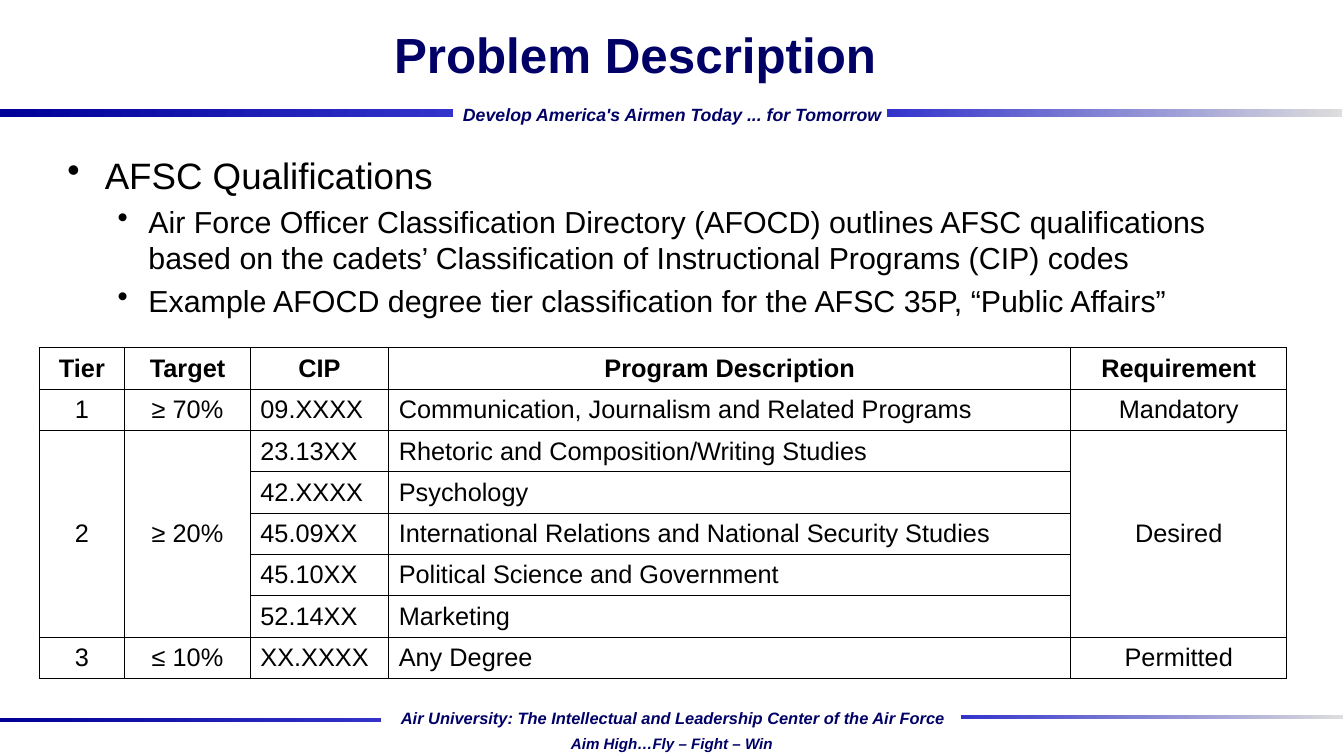
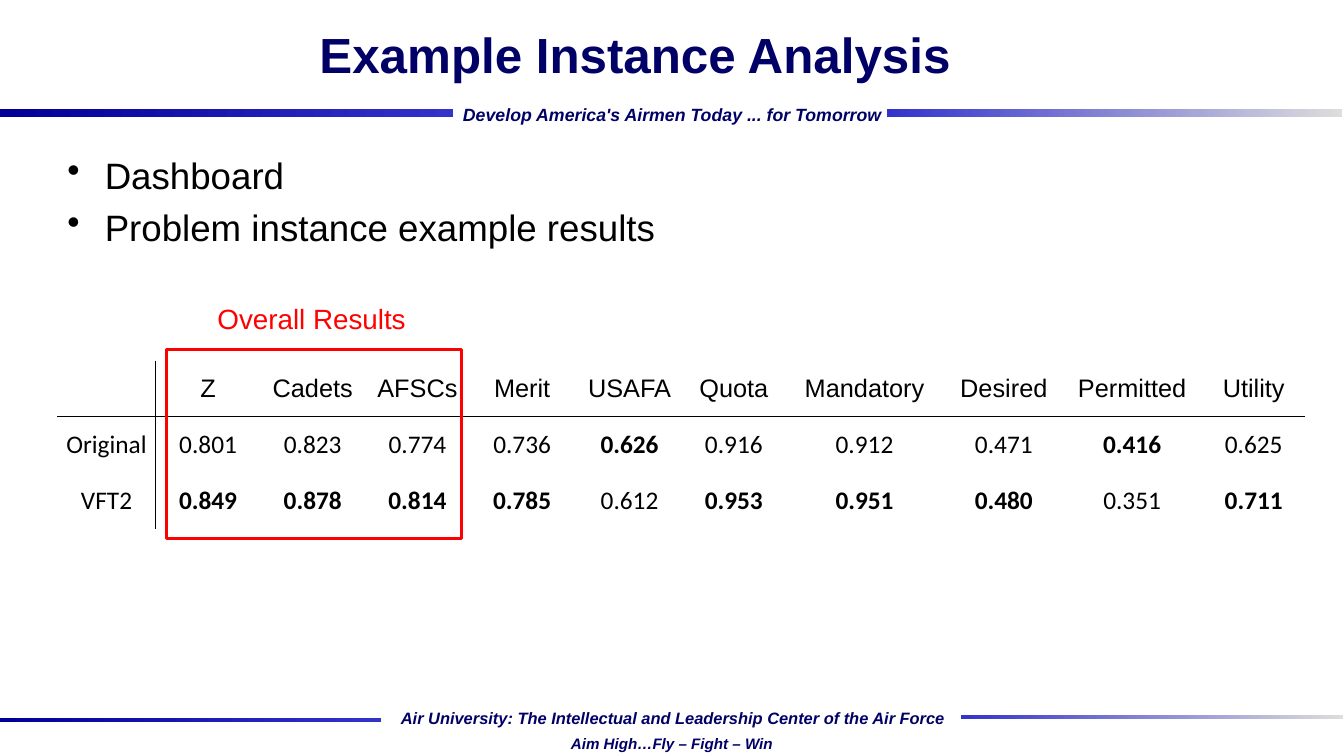
import pptx
import pptx.dml.color
import pptx.enum.shapes
import pptx.enum.text
import pptx.oxml.ns
import pptx.util
from lxml import etree

NAVY, BLACK, WHITE, RED = "000066", "000000", "FFFFFF", "FF0000"
DARK, BLUE, GREY = "000099", "3333CC", "DDDDDD"
CENTER = pptx.enum.text.PP_ALIGN.CENTER
LEFT = pptx.enum.text.PP_ALIGN.LEFT
MIDDLE = pptx.enum.text.MSO_ANCHOR.MIDDLE
RECT = pptx.enum.shapes.MSO_SHAPE.RECTANGLE
SIDES = "LRTB"


def color(code):
    return pptx.dml.color.RGBColor.from_string(code)


def node(parent, tag, **attrs):
    return etree.SubElement(parent, pptx.oxml.ns.qn(tag), attrs)


def style(para, size, code=BLACK, bold=False, slant=False, face="Arial"):
    for run in para.runs:
        font = run.font
        font.name, font.size = face, pptx.util.Pt(size)
        font.bold, font.italic = bold, slant
        font.color.rgb = color(code)


class Deck:
    """Holds the style and the current slide; lengths are percent of its size."""

    # Per level: left margin, hanging indent, text size
    LEVELS = ((2.78, 2.78, 29), (6.03, 2.3, 24))

    def __init__(self):
        self.show = pptx.Presentation()
        self.show.slide_width = pptx.util.Inches(14.76)
        self.show.slide_height = pptx.util.Inches(8.3)

    def across(self, share):
        return round(self.show.slide_width * share / 100)

    def down(self, share):
        return round(self.show.slide_height * share / 100)

    def box(self, left, top, width, height):
        return (self.across(left), self.down(top),
                self.across(width), self.down(height))

    def start(self, title):
        """Add a slide with its title, bands and mottos."""
        self.slide = self.show.slides.add_slide(self.show.slide_layouts[5])
        self.shapes = self.slide.shapes
        self.band(66, 14.46, 33.88, 1.08, BLUE, GREY)
        self.band(0, 14.46, 33.74, 1.08, DARK, BLUE)
        self.band(0, 94.94, 28.32, 0.6, DARK, BLUE)
        self.band(71.48, 94.58, 28.46, 0.6, BLUE, GREY)
        self.motto("Develop America's Airmen Today ... for Tomorrow",
                   14, 33.67, 13.13, 32.72, 4.1)
        self.motto("Air University: The Intellectual and Leadership Center "
                   "of the Air Force", 13, 28.86, 93.01, 42.34, 3.73)
        self.motto("Aim High…Fly – Fight – Win", 12, 41.6, 96.51, 16.8, 3.49)
        self.head(title)

    def head(self, title):
        shape = self.shapes.title
        shape.left, shape.top, shape.width, shape.height = self.box(
            8.54, 0, 77.44, 14.1)
        frame = shape.text_frame
        frame.text = title
        frame.vertical_anchor = MIDDLE
        frame.paragraphs[0].alignment = CENTER
        style(frame.paragraphs[0], 39, NAVY, bold=True)

    def band(self, left, top, width, height, first, last):
        shape = self.shapes.add_shape(RECT, *self.box(left, top, width, height))
        shape.shadow.inherit = False
        shape.line.fill.background()
        shape.fill.gradient()
        shape.fill.gradient_angle = 0
        for stop, code, place in zip(shape.fill.gradient_stops,
                                     (first, last), (0, 1)):
            stop.color.rgb = color(code)
            stop.position = place

    def label(self, text, *place, wrap=True):
        frame = self.shapes.add_textbox(*self.box(*place)).text_frame
        frame.word_wrap = wrap
        frame.text = text
        return frame

    def motto(self, text, size, *place):
        para = self.label(text, *place, wrap=False).paragraphs[0]
        para.alignment = CENTER
        style(para, size, NAVY, bold=True, slant=True)

    def list(self, items):
        """Write the bulleted body from pairs of level and text."""
        frame = self.label("\n".join(text for _, text in items),
                           4.27, 19.64, 92.48, 72.5)
        frame.margin_left = frame.margin_right = pptx.util.Inches(0.11)
        for index, (para, (level, _)) in enumerate(zip(frame.paragraphs, items)):
            margin, hang, size = self.LEVELS[level]
            para.level = level
            props = para._p.get_or_add_pPr()
            props.set("marL", str(self.across(margin)))
            props.set("indent", str(-self.across(hang)))
            node(props, "a:buChar", char="•")
            if index:
                para.space_before = pptx.util.Pt(0.2 * size)
            style(para, size)

    def table(self, left, top, widths, height, rows):
        frame = self.shapes.add_table(
            len(rows), len(widths),
            *self.box(left, top, sum(widths), height * len(rows)))
        table = frame.table
        table.first_row = table.horz_banding = False
        for column, width in zip(table.columns, widths):
            column.width = self.across(width)
        for row in table.rows:
            row.height = self.down(height)
        return table

    def cell(self, cell, text, edges, pads, align=CENTER, **look):
        """Fill one cell; edges names the sides that carry a line."""
        props = cell._tc.get_or_add_tcPr()
        for side in SIDES:
            line = node(props, "a:ln" + side, w=str(pptx.util.Pt(1)))
            if side in edges:
                fill = node(line, "a:solidFill")
                node(fill, "a:srgbClr", val=BLACK)
            else:
                node(line, "a:noFill")
        cell.fill.solid()
        cell.fill.fore_color.rgb = color(WHITE)
        cell.vertical_anchor = MIDDLE
        wide, high = map(pptx.util.Inches, pads)
        cell.margin_left = cell.margin_right = wide
        cell.margin_top = cell.margin_bottom = high
        cell.text = text
        para = cell.text_frame.paragraphs[0]
        para.alignment = align
        style(para, 20, **look)

    def frame(self, code, *place):
        shape = self.shapes.add_shape(RECT, *self.box(*place))
        shape.shadow.inherit = False
        shape.fill.background()
        shape.line.color.rgb = color(code)
        shape.line.width = pptx.util.Pt(2.25)


def problem(deck):
    deck.start("Problem Description")
    deck.list((
        (0, "AFSC Qualifications"),
        (1, "Air Force Officer Classification Directory (AFOCD) outlines AFSC "
            "qualifications based on the cadets’ Classification of "
            "Instructional Programs (CIP) codes"),
        (1, "Example AFOCD degree tier classification for the AFSC 35P, "
            "“Public Affairs”"),
    ))
    rows = (
        ("Tier", "Target", "CIP", "Program Description", "Requirement"),
        ("1", "≥ 70%", "09.XXXX",
         "Communication, Journalism and Related Programs", "Mandatory"),
        ("2", "≥ 20%", "23.13XX",
         "Rhetoric and Composition/Writing Studies", "Desired"),
        ("", "", "42.XXXX", "Psychology", ""),
        ("", "", "45.09XX",
         "International Relations and National Security Studies", ""),
        ("", "", "45.10XX", "Political Science and Government", ""),
        ("", "", "52.14XX", "Marketing", ""),
        ("3", "≤ 10%", "XX.XXXX", "Any Degree", "Permitted"),
    )
    table = deck.table(2.91, 46.02, (6.37, 9.35, 10.3, 50.75, 16.06),
                       5.44, rows)
    for y, row in enumerate(rows):
        for x, text in enumerate(row):
            align = LEFT if y and x in (2, 3) else CENTER
            deck.cell(table.cell(y, x), text, SIDES, (0.11, 0.06), align,
                      bold=y == 0)
    for x in (0, 1, 4):
        table.cell(2, x).merge(table.cell(6, x))


def results(deck):
    deck.start("Example Instance Analysis")
    deck.list(((0, "Dashboard"), (0, "Problem instance example results")))
    rows = (
        ("", "Z", "Cadets", "AFSCs", "Merit", "USAFA", "Quota", "Mandatory",
         "Desired", "Permitted", "Utility"),
        ("Original", "0.801", "0.823", "0.774", "0.736", "0.626", "0.916",
         "0.912", "0.471", "0.416", "0.625"),
        ("VFT2", "0.849", "0.878", "0.814", "0.785", "0.612", "0.953",
         "0.951", "0.480", "0.351", "0.711"),
    )
    widths = (7.32, *[7.79] * 4, 8.2, 7.32, 12.13, 8.6, 10.5, 7.59)
    table = deck.table(4.27, 47.71, widths, 7.43, rows)
    for y, row in enumerate(rows):
        for x, text in enumerate(row):
            edges = {0: "R", 1: "L"}.get(x, "") + {0: "B", 1: "T"}.get(y, "")
            best = x > 0 and y > 0 and text == max(rows[1][x], rows[2][x])
            deck.cell(table.cell(y, x), text, edges,
                      (0.01, 0.01) if y else (0.1, 0.05), bold=best,
                      face="Calibri" if y else "Arial")
    deck.frame(RED, 12.4, 46.27, 21.95, 24.94)
    label = deck.label("Overall Results", 15.51, 39.28, 15.72, 5.66)
    style(label.paragraphs[0], 22, RED)


def main():
    deck = Deck()
    problem(deck)
    results(deck)
    deck.show.save("out.pptx")


if __name__ == "__main__":
    main()
